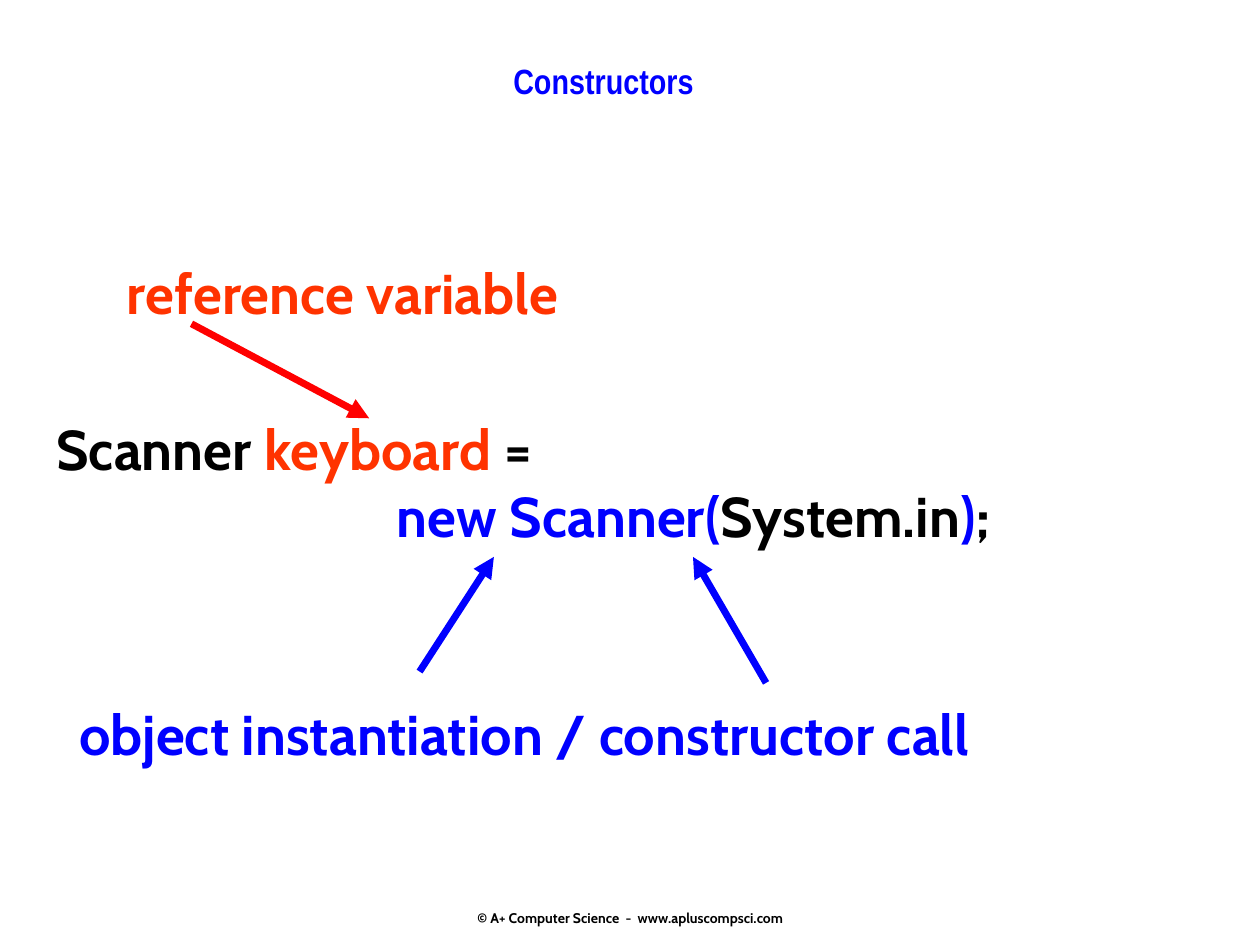
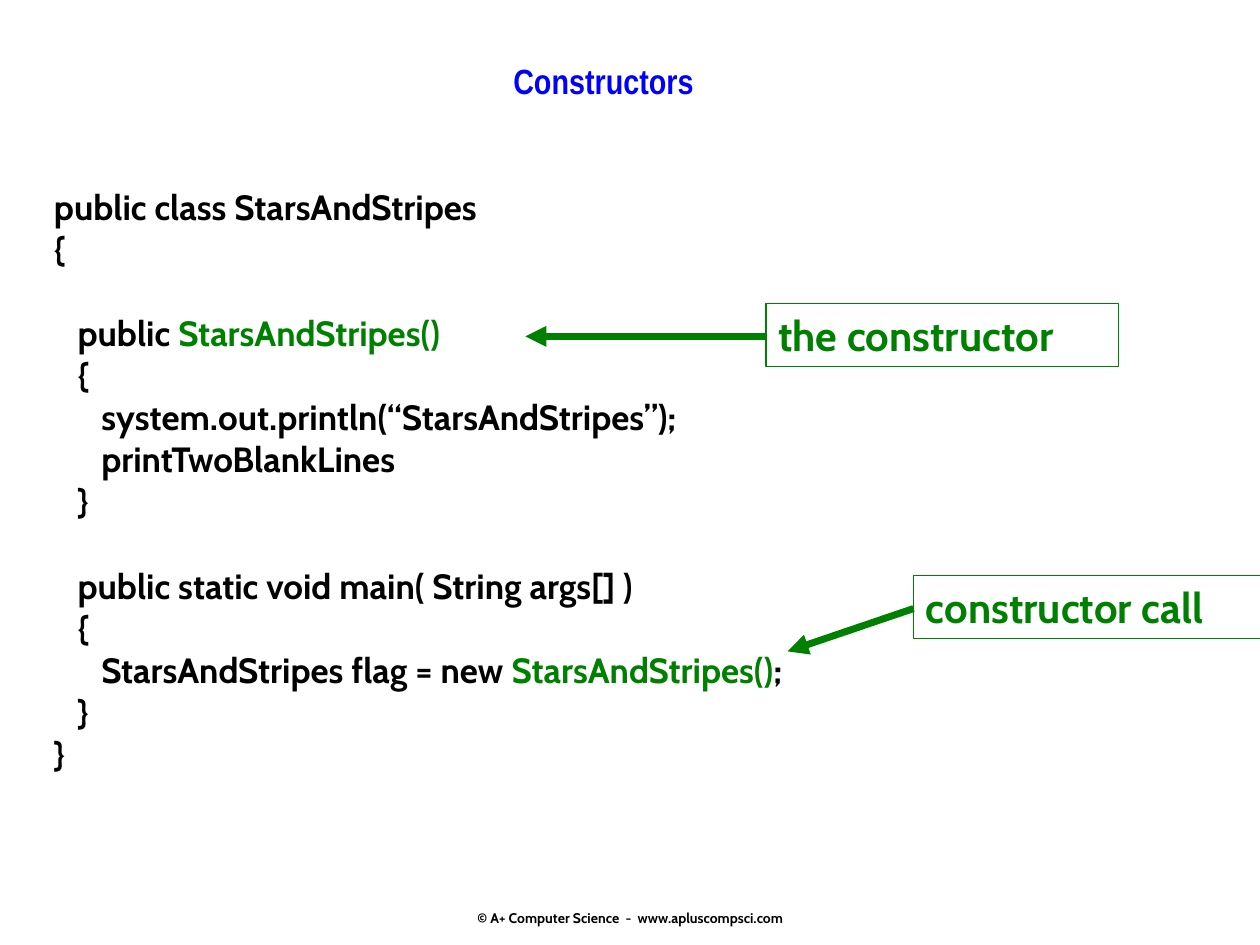
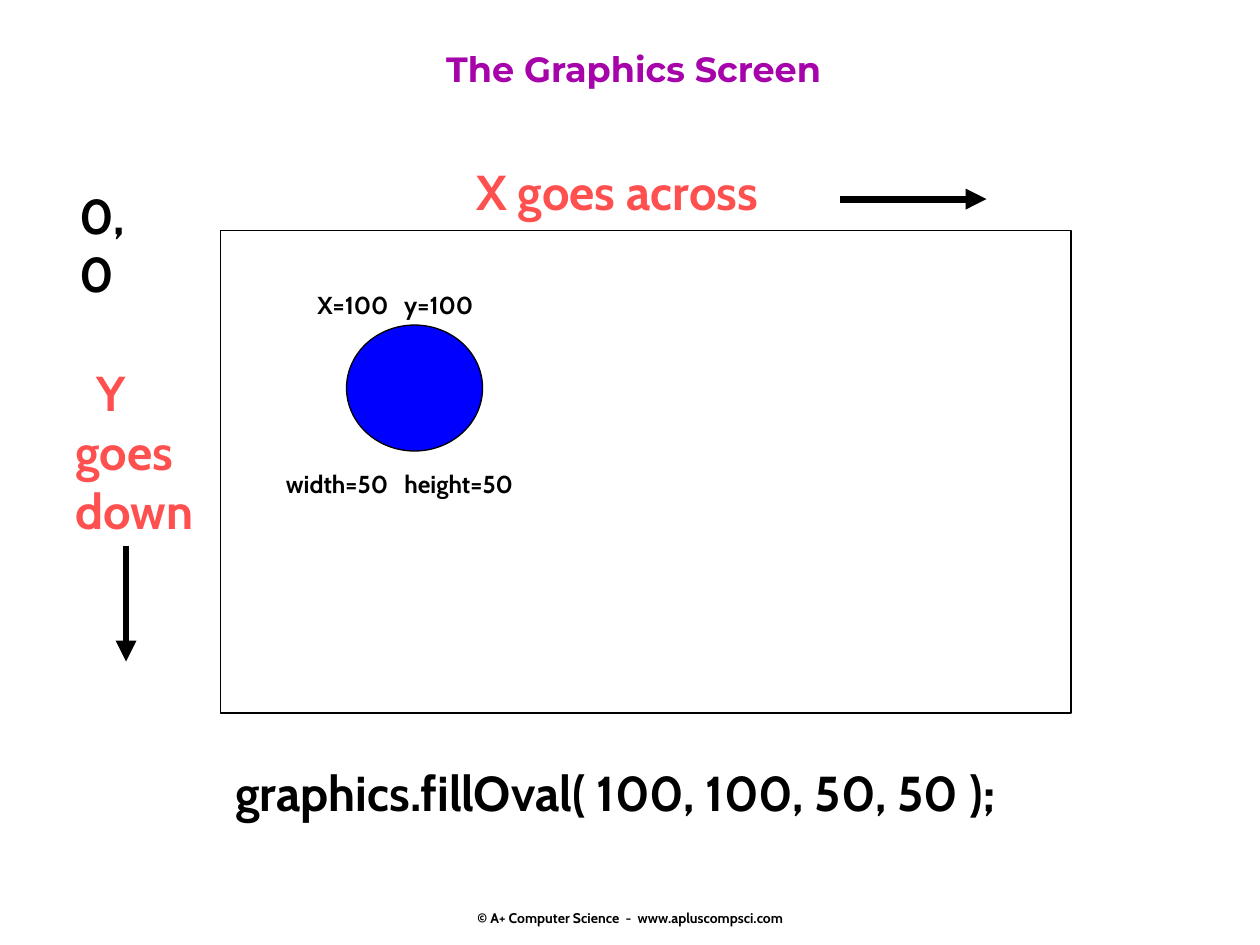
"""Build three slides on constructors and the graphics screen."""
import pptx
import pptx.dml.color
import pptx.enum.shapes
import pptx.enum.text
import pptx.oxml.ns
import pptx.util
from lxml import etree

Inches = pptx.util.Inches
Pt = pptx.util.Pt
ALIGN = pptx.enum.text.PP_ALIGN
ANCHOR = pptx.enum.text.MSO_ANCHOR
SHAPE = pptx.enum.shapes.MSO_SHAPE

COLORS = {
    "black": "000000", "white": "FFFFFF", "blue": "0000FF", "red": "FF0000",
    "orange": "FF3300", "green": "008000", "coral": "FF5050", "purple": "A603AB",
}
BODY_FONT = "Cabin"
CODE_LINE = 24.3
CAPTION_SPLIT = 3.21
TEXT_INSET = 0.1
FOOTER = "© A+ Computer Science  -  www.apluscompsci.com"

CONSTRUCTORS_TITLE = ("Constructors", (1.08, 0.42, 7.42, 0.83), "Arial Narrow", "blue")
GRAPHICS_TITLE = ("The Graphics Screen", (2.17, 0.33, 5.72, 0.71), "Montserrat", "purple")

SCANNER_CODE = [
    [("Scanner ", "black"), ("keyboard", "orange"), (" =", "black")],
    [("new Scanner(", "blue"), ("System.in", "black"), (")", "blue"), (";", "black")],
]
SCANNER_LABELS = [
    ("reference variable", (0.91, 2, 4.27, 0.64), "orange"),
    ("object instantiation / constructor call", (0.53, 5.5, 8.49, 0.64), "blue"),
]
SCANNER_ARROWS = [
    ((1.52, 2.57), (2.93, 3.32), "red"),
    ((3.33, 5.33), (3.92, 4.42), "blue"),
    ((6.08, 5.42), (5.5, 4.42), "blue"),
]

FLAG_CODE = [
    "public class StarsAndStripes",
    "{",
    [("   public ", "black"), ("StarsAndStripes()", "green")],
    "   {",
    "      system.out.println(“StarsAndStripes”);",
    "      printTwoBlankLines",
    "   }",
    "   public static void main( String args[] )",
    "   {",
    [("      StarsAndStripes flag = new ", "black"), ("StarsAndStripes()", "green"), (";", "black")],
    "   }",
    "}",
]
FLAG_CODE_GAPS = {2: CODE_LINE, 7: CODE_LINE}
FLAG_CALLOUTS = [
    ("the constructor", (6.08, 2.41), (6.08, 2.67), (4.17, 2.67)),
    ("constructor call", (7.25, 4.57), (7.25, 4.83), (6.25, 5.17)),
]

SCREEN_LABELS = [
    (["0,0"], (0.53, 1.42, 0.75, 0.57), "black", {}),
    (["graphics.fillOval( 100, 100, 50, 50 );"], (1.77, 6, 6.8, 0.57), "black", {}),
    (["X goes across"], (3.68, 1.23, 2.8, 0.57), "coral", {}),
    (["Y", "goes", "down"], (0.5, 2.83, 1.27, 1.5), "coral", {0: 0.17}),
]
SCREEN_ARROWS = [((1, 4.33), (1, 5.25)), ((6.67, 1.58), (7.83, 1.58))]
SCREEN_SHAPES = [
    (SHAPE.RECTANGLE, (1.75, 1.83, 6.75, 3.83), "white"),
    (SHAPE.OVAL, (2.75, 2.58, 1.08, 1), "blue"),
]
OVAL_CAPTIONS = [
    ("X=100\ty=100", (2.42, 2.25, 2, 0.34)),
    ("width=50\theight=50", (2.17, 3.67, 2.42, 0.34)),
]


def rgb(color):
    return pptx.dml.color.RGBColor.from_string(COLORS[color])


def add_xml(parent, tag, **attributes):
    return etree.SubElement(parent, pptx.oxml.ns.qn(tag), attributes)


def style_run(run, size, color, font=BODY_FONT):
    run.font.name = font
    run.font.size = Pt(size)
    run.font.bold = True
    run.font.color.rgb = rgb(color)


def add_text(slide, lines, place, size, color="black", align=ALIGN.LEFT,
             indents={}, gaps={}, tab=None):
    box = slide.shapes.add_textbox(*map(Inches, place))
    frame = box.text_frame
    frame.word_wrap = True
    for index, line in enumerate(lines):
        paragraph = frame.paragraphs[0] if index == 0 else frame.add_paragraph()
        properties = paragraph._p.get_or_add_pPr()
        if index in indents:
            properties.set("marL", str(Inches(indents[index])))
        if tab:
            stops = add_xml(properties, "a:tabLst")
            add_xml(stops, "a:tab", pos=str(Inches(tab)), algn="l")
        paragraph.alignment = align
        if index in gaps:
            paragraph.space_before = Pt(gaps[index])
        for words, shade in [(line, color)] if isinstance(line, str) else line:
            run = paragraph.add_run()
            run.text = words
            style_run(run, size, shade)
    return box


def add_arrow(slide, start, end, color="black"):
    arrow = slide.shapes.add_connector(
        pptx.enum.shapes.MSO_CONNECTOR.STRAIGHT, *map(Inches, start + end))
    arrow.line.color.rgb = rgb(color)
    arrow.line.width = Pt(4)
    add_xml(arrow.line._get_or_add_ln(), "a:tailEnd", type="triangle")
    add_xml(arrow._element.spPr, "a:effectLst")


def outline(shape, color):
    shape.line.color.rgb = rgb(color)
    shape.line.width = Pt(0.75)


def new_slide(deck, heading):
    words, place, font, color = heading
    slide = deck.slides.add_slide(deck.slide_layouts[5])
    title = slide.shapes.title
    title.left, title.top, title.width, title.height = map(Inches, place)
    frame = title.text_frame
    frame.text = words
    frame.word_wrap = True
    frame.vertical_anchor = ANCHOR.TOP
    frame.paragraphs[0].alignment = ALIGN.CENTER
    style_run(frame.paragraphs[0].runs[0], 20, color, font)
    footer = add_text(slide, [FOOTER], (3.42, 6.85, 3.17, 0.5), 8, align=ALIGN.CENTER)
    footer.text_frame.vertical_anchor = ANCHOR.BOTTOM
    footer.text_frame.margin_bottom = 0
    return slide


def build_scanner(deck):
    slide = new_slide(deck, CONSTRUCTORS_TITLE)
    code = add_text(slide, SCANNER_CODE, (0.35, 3.24, 9.25, 2.24), 32, indents={1: 2.7})
    code.fill.solid()
    code.fill.fore_color.rgb = rgb("white")
    for words, place, color in SCANNER_LABELS:
        add_text(slide, [words], place, 32, color)
    for start, end, color in SCANNER_ARROWS:
        add_arrow(slide, start, end, color)


def build_flag(deck):
    slide = new_slide(deck, CONSTRUCTORS_TITLE)
    add_text(slide, FLAG_CODE, (0.33, 1.42, 8.58, 4.77), 20, gaps=FLAG_CODE_GAPS)
    for words, corner, start, end in FLAG_CALLOUTS:
        add_arrow(slide, start, end, "green")
        outline(add_text(slide, [words], corner + (2.8, 0.5), 24, "green"), "green")


def build_screen(deck):
    slide = new_slide(deck, GRAPHICS_TITLE)
    for kind, place, color in SCREEN_SHAPES:
        shape = slide.shapes.add_shape(kind, *map(Inches, place))
        shape.shadow.inherit = False
        shape.fill.solid()
        shape.fill.fore_color.rgb = rgb(color)
        outline(shape, "black")
    for lines, place, color, indents in SCREEN_LABELS:
        add_text(slide, lines, place, 28, color, indents=indents)
    for start, end in SCREEN_ARROWS:
        add_arrow(slide, start, end)
    for words, place in OVAL_CAPTIONS:
        add_text(slide, [words], place, 14, tab=CAPTION_SPLIT - place[0] - TEXT_INSET)


def main():
    deck = pptx.Presentation()
    deck.slide_width, deck.slide_height = Inches(10), Inches(7.5)
    build_scanner(deck)
    build_flag(deck)
    build_screen(deck)
    deck.save("out.pptx")


if __name__ == "__main__":
    main()
